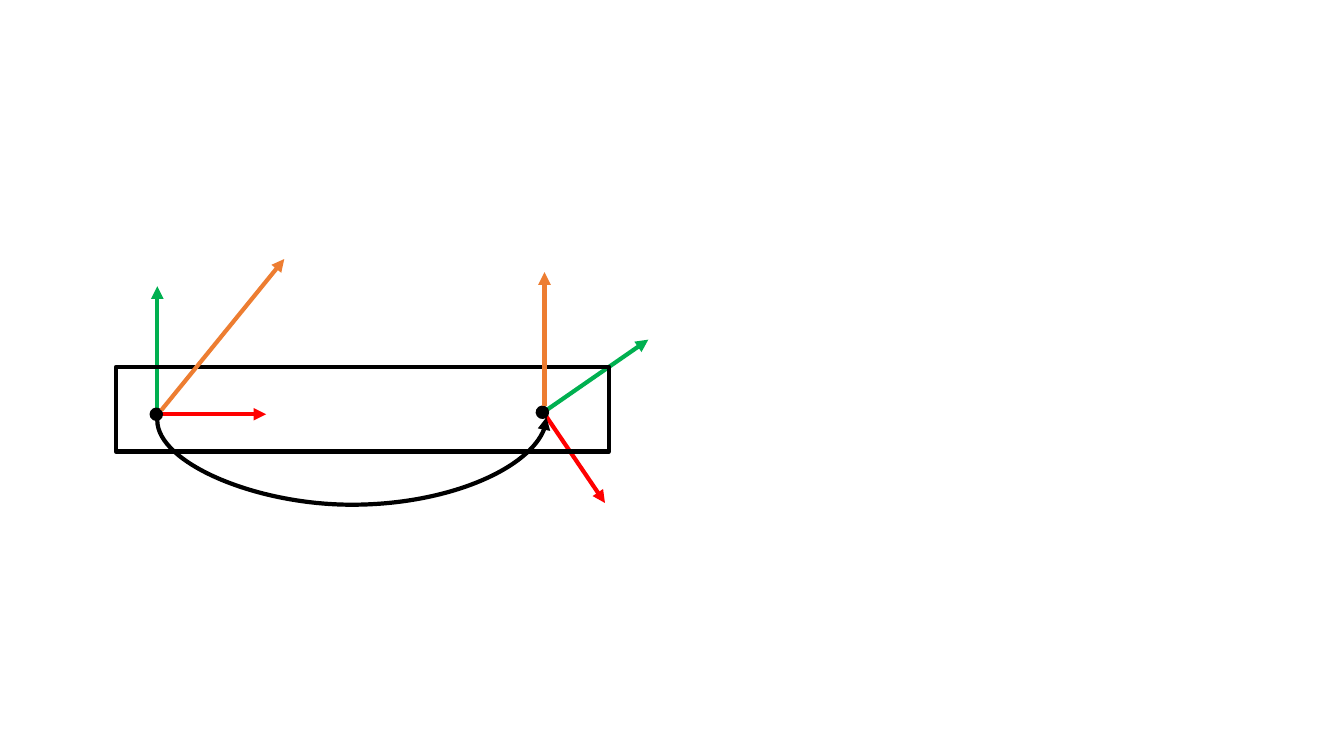
from pptx import Presentation
from pptx.dml.color import RGBColor
from pptx.enum.shapes import MSO_CONNECTOR, MSO_SHAPE
from pptx.oxml.ns import qn
from pptx.util import Inches, Pt
from lxml import etree

LINE, CURVE = MSO_CONNECTOR.STRAIGHT, MSO_CONNECTOR.CURVE
RECT, OVAL = MSO_SHAPE.RECTANGLE, MSO_SHAPE.OVAL
COLORS = {"ink": "000000", "red": "FF0000", "green": "00B050", "orange": "ED7D31"}
CELL = 0.1
BAR = (11.5, 36.4, 48.9, 8.4)
FRAMES = [
    ((4.1, 4.7), {"green": (0, -12.7), "red": (10.8, 0)}, 0),
    ((42.4, 4.5), {"green": (10.4, -7.2), "red": (6.1, 9)}, 55.5),
]
FORCES = [((4.5, 4.3), (16.7, -10.7)), ((42.5, 3.9), (42.5, -9.4))]
SWEEP = ((4.1, 5.3), (42.7, 5.0), 13.7)
DOT = 1.2


def cells(*counts):
    """Turn counts of grid cells into lengths."""
    return [Inches(n * CELL) for n in counts]


def shift(box, point):
    """Place a point relative to the corner of a box."""
    return box[0] + point[0], box[1] + point[1]


def stroke(item, color, width):
    """Set the line colour and width of an item."""
    for name, value in {"width": Pt(width)}.items():
        setattr(item.line, name, value)
    item.line.fill.solid()
    item.line.fill.fore_color.rgb = RGBColor.from_string(COLORS[color])


def arrow(shapes, start, end, color, kind=LINE):
    """Draw an arrow between two grid points."""
    link = shapes.add_connector(kind, *cells(*start, *end))
    stroke(link, color, 3)
    props = link._element.spPr
    etree.SubElement(props.find(qn("a:ln")), qn("a:tailEnd"), type="triangle")
    etree.SubElement(props, qn("a:effectLst"))
    return link


def block(shapes, kind, box, width, fill=None):
    """Draw an outlined shape in a grid box."""
    item = shapes.add_shape(kind, *cells(*box))
    item.shadow.inherit = False
    stroke(item, "ink", width)
    if fill:
        item.fill.solid()
        item.fill.fore_color.rgb = RGBColor.from_string(COLORS[fill])
    else:
        item.fill.background()
    return item


def frame(slide, start, axes, turn):
    """Group two axis arrows and their origin dot."""
    shapes = slide.shapes.add_group_shape().shapes
    for color, reach in axes.items():
        arrow(shapes, start, shift(start, reach), color)
    dot = block(shapes, OVAL, (*shift(start, (-0.7, -0.6)), DOT, DOT), 1, "ink")
    dot.rotation = turn


def sweep(slide, start, end, low):
    """Draw a curved arrow that dips to a low level between two points."""
    (left, top), (right, rise) = start, end
    midx, midy = (left + right) / 2, (top + rise) / 2
    wide, tall = top - rise, right - left
    link = arrow(slide.shapes, (midx + wide / 2, midy + tall / 2),
                 (midx - wide / 2, midy - tall / 2), "ink", CURVE)
    props = link._element.spPr
    props.find(qn("a:xfrm")).set("rot", "5400000")
    ratio = round((top - low) / wide * 100000)
    guides = props.find(qn("a:prstGeom")).find(qn("a:avLst"))
    etree.SubElement(guides, qn("a:gd"), name="adj1", fmla=f"val {ratio}")


def diagram(slide, box):
    """Draw the bar with its frames, forces and sweep."""
    for start, axes, turn in FRAMES:
        frame(slide, shift(box, start), axes, turn)
    block(slide.shapes, RECT, box, 3)
    for start, end in FORCES:
        arrow(slide.shapes, shift(box, start), shift(box, end), "orange")
    start, end, low = SWEEP
    sweep(slide, shift(box, start), shift(box, end), box[1] + low)


def main():
    """Build and save the deck."""
    deck = Presentation()
    deck.slide_width, deck.slide_height = Inches(13.33), Inches(7.5)
    diagram(deck.slides.add_slide(deck.slide_layouts[6]), BAR)
    deck.save("out.pptx")


if __name__ == "__main__":
    main()
